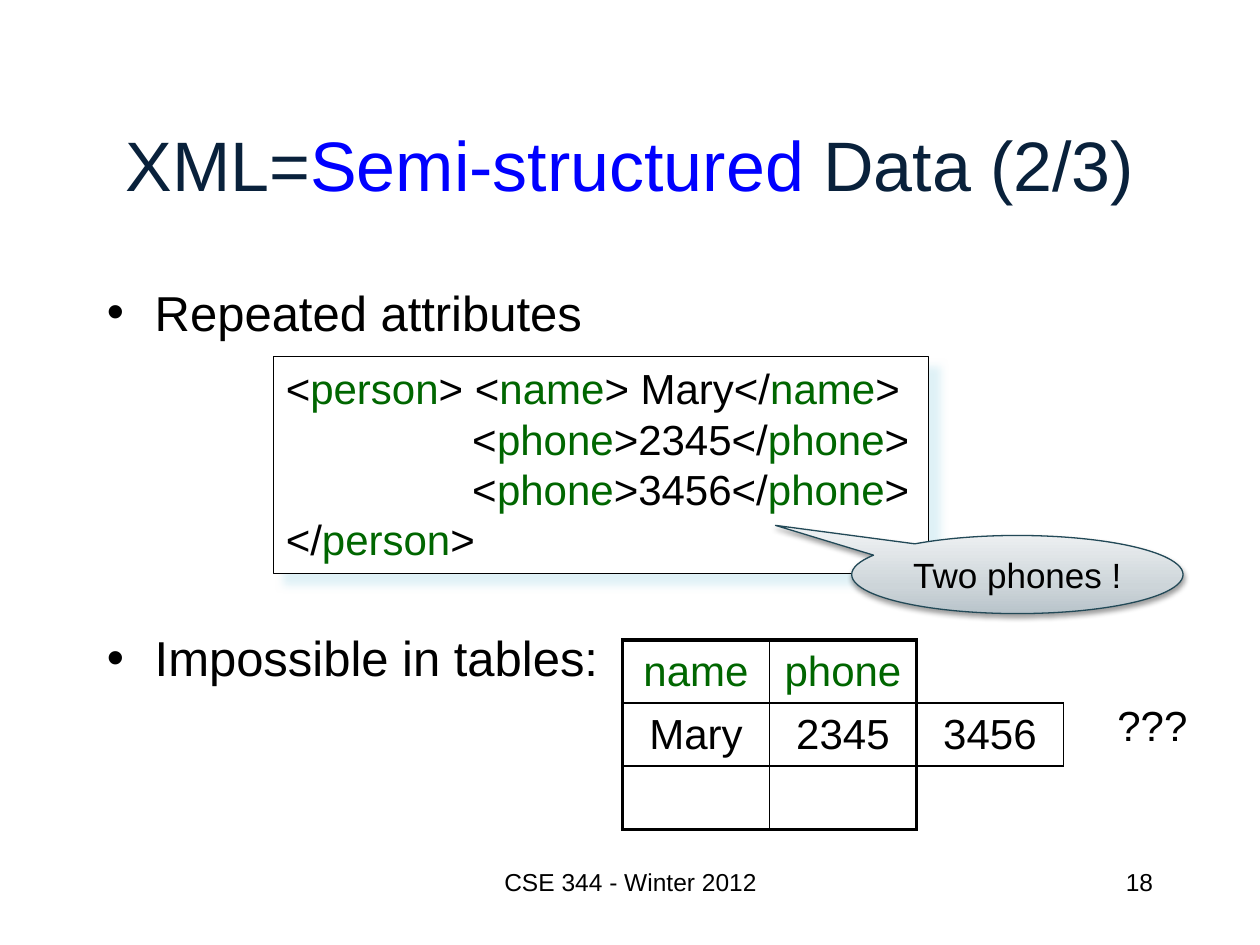
from lxml import etree
from pptx import Presentation
from pptx.dml.color import RGBColor
from pptx.enum.shapes import MSO_SHAPE as Shape
from pptx.enum.text import MSO_ANCHOR as Anchor, MSO_AUTO_SIZE as AutoSize, PP_ALIGN as Align
from pptx.oxml import parse_xml
from pptx.oxml.ns import nsdecls, qn
from pptx.util import Inches, Pt

FONT = "Arial"
BLACK = RGBColor(0, 0, 0)
WHITE = RGBColor(255, 255, 255)
NAVY = RGBColor(0x09, 0x21, 0x3B)
BLUE = RGBColor(0, 0, 255)
GREEN = RGBColor(0, 0x66, 0)
TEAL = RGBColor(0x22, 0x49, 0x57)
PALE_BLUE = RGBColor(0xD5, 0xED, 0xF4)

CODE_LINES = [
    ["<", "person", "> <", "name", "> Mary</", "name", ">"],
    ["                <", "phone", ">2345</", "phone", ">"],
    ["                <", "phone", ">3456</", "phone", ">"],
    ["</", "person", ">"],
]
TABLE_ROWS = [["name", "phone", ""], ["Mary", "2345", "3456"], ["", "", ""]]
# Line widths in points; 0 is no line.
ROW_EDGES = [(2.25, 2.25, 0), (1.5, 1.5, 1), (1, 1, 1), (2.25, 2.25, 0)]
COLUMN_EDGES = [(2.25, 1, 1.5, 0), (2.25, 1, 1.5, 1), (2.25, 1, 1.5, 0)]


def set_font(paragraph, size, color=BLACK):
    font = paragraph.font
    font.name, font.size, font.color.rgb = FONT, Pt(size), color


def add_colored_runs(paragraph, parts):
    for text, color in parts:
        run = paragraph.add_run()
        run.text = text
        run.font.color.rgb = color


def add_label(slide, box, text, size, align=Align.LEFT, wrap=True):
    frame = slide.shapes.add_textbox(*box).text_frame
    frame.word_wrap = wrap
    paragraph = frame.paragraphs[0]
    paragraph.text, paragraph.alignment = text, align
    set_font(paragraph, size)


def add_shadow(shape, color, alpha, blur, distance, angle):
    shape.shadow.inherit = False
    effects = shape._element.spPr.find(qn("a:effectLst"))
    effects.append(parse_xml(
        f'<a:outerShdw {nsdecls("a")} blurRad="{Pt(blur)}" dist="{Pt(distance)}" '
        f'dir="{angle * 60000}" algn="ctr" rotWithShape="0"><a:srgbClr val="{color}">'
        f'<a:alpha val="{alpha * 1000}"/></a:srgbClr></a:outerShdw>'))


def fill_title(slide, box):
    title = slide.shapes.title
    title.left, title.top, title.width, title.height = box
    frame = title.text_frame
    frame.auto_size = AutoSize.NONE
    frame.vertical_anchor = Anchor.MIDDLE
    paragraph = frame.paragraphs[0]
    paragraph.alignment = Align.CENTER
    add_colored_runs(paragraph, [("XML=", NAVY), ("Semi-structured ", BLUE), ("Data (2/3)", NAVY)])
    set_font(paragraph, 40, NAVY)


def add_bullets(slide, box, items, gap):
    frame = slide.shapes.add_textbox(*box).text_frame
    frame.word_wrap = True
    for index, item in enumerate(items):
        paragraph = frame.add_paragraph() if index else frame.paragraphs[0]
        paragraph.text = item
        if index:
            paragraph.space_before = gap
        properties = paragraph._p.get_or_add_pPr()
        properties.set("marL", str(Inches(0.38)))
        properties.set("indent", str(Inches(-0.38)))
        etree.SubElement(properties, qn("a:buFont"), typeface=FONT)
        etree.SubElement(properties, qn("a:buChar"), char="•")
        set_font(paragraph, 28)


def add_code(slide, box):
    code = slide.shapes.add_shape(Shape.RECTANGLE, *box)
    code.fill.solid()
    code.fill.fore_color.rgb = WHITE
    code.line.color.rgb = BLACK
    code.line.width = Pt(0.75)
    add_shadow(code, PALE_BLUE, 75, 5, 8.5, 45)
    frame = code.text_frame
    frame.word_wrap = False
    frame.vertical_anchor = Anchor.TOP
    for index, parts in enumerate(CODE_LINES):
        paragraph = frame.add_paragraph() if index else frame.paragraphs[0]
        paragraph.alignment = Align.LEFT
        # Tag names alternate with the markup around them.
        add_colored_runs(paragraph, [(part, GREEN if i % 2 else BLACK) for i, part in enumerate(parts)])
        set_font(paragraph, 24)


def set_borders(cell, widths):
    """Draw the left, right, top and bottom borders, ahead of the cell's fill."""
    properties = cell._tc.get_or_add_tcPr()
    for index, (side, width) in enumerate(zip(("lnL", "lnR", "lnT", "lnB"), widths)):
        paint = f'<a:solidFill><a:srgbClr val="{BLACK}"/></a:solidFill>' if width else "<a:noFill/>"
        properties.insert(index, parse_xml(
            f'<a:{side} {nsdecls("a")} w="{Pt(width)}">{paint}</a:{side}>'))


def add_phone_table(slide, box):
    table = slide.shapes.add_table(len(TABLE_ROWS), len(TABLE_ROWS[0]), *box).table
    table.first_row = table.horz_banding = False
    for r, texts in enumerate(TABLE_ROWS):
        for c, text in enumerate(texts):
            cell = table.cell(r, c)
            cell.fill.background()
            cell.vertical_anchor = Anchor.MIDDLE
            paragraph = cell.text_frame.paragraphs[0]
            paragraph.text, paragraph.alignment = text, Align.CENTER
            set_font(paragraph, 24, BLACK if r else GREEN)
            set_borders(cell, (COLUMN_EDGES[r][c], COLUMN_EDGES[r][c + 1],
                               ROW_EDGES[r][c], ROW_EDGES[r + 1][c]))


def add_callout(slide, box, text):
    callout = slide.shapes.add_shape(Shape.OVAL_CALLOUT, *box)
    callout.adjustments[0], callout.adjustments[1] = -0.73, -0.63
    stops = "".join(
        f'<a:gs pos="{position * 1000}"><a:srgbClr val="{color}"/></a:gs>'
        for position, color in [(0, "B8C3CA"), (35, "CDD5D9"), (100, "ECEFF1")])
    callout._element.spPr.find(qn("a:prstGeom")).addnext(parse_xml(
        f'<a:gradFill {nsdecls("a")} rotWithShape="1"><a:gsLst>{stops}</a:gsLst>'
        '<a:lin ang="16200000" scaled="0"/></a:gradFill>'))
    callout.line.color.rgb = TEAL
    callout.line.width = Pt(0.75)
    add_shadow(callout, BLACK, 38, 3.1, 1.6, 90)
    frame = callout.text_frame
    frame.word_wrap = False
    frame.vertical_anchor = Anchor.MIDDLE
    paragraph = frame.paragraphs[0]
    paragraph.text, paragraph.alignment = text, Align.CENTER
    set_font(paragraph, 20)


def inches(*lengths):
    return [Inches(length) for length in lengths]


def main():
    deck = Presentation()
    deck.slide_width, deck.slide_height = inches(10, 7.5)
    slide = deck.slides.add_slide(deck.slide_layouts[5])
    fill_title(slide, inches(0.75, 0.67, 8.5, 1.25))
    add_bullets(slide, inches(0.75, 2.19, 8.5, 4.5),
                ["Repeated attributes", "Impossible in tables:"], Pt(164))
    add_code(slide, inches(2.17, 2.83, 5.2, 1.72))
    add_phone_table(slide, inches(4.94, 5.08, 3.5, 1.5))
    add_label(slide, inches(8.77, 5.5, 0.76, 0.5), "???", 24, wrap=False)
    add_callout(slide, inches(6.76, 4.25, 2.63, 0.62), "Two phones !")
    add_label(slide, inches(3.42, 6.83, 3.17, 0.5), "CSE 344 - Winter 2012", 14, Align.CENTER)
    add_label(slide, inches(7.17, 6.83, 2.08, 0.5), "18", 14, Align.RIGHT)
    deck.save("out.pptx")


if __name__ == "__main__":
    main()
